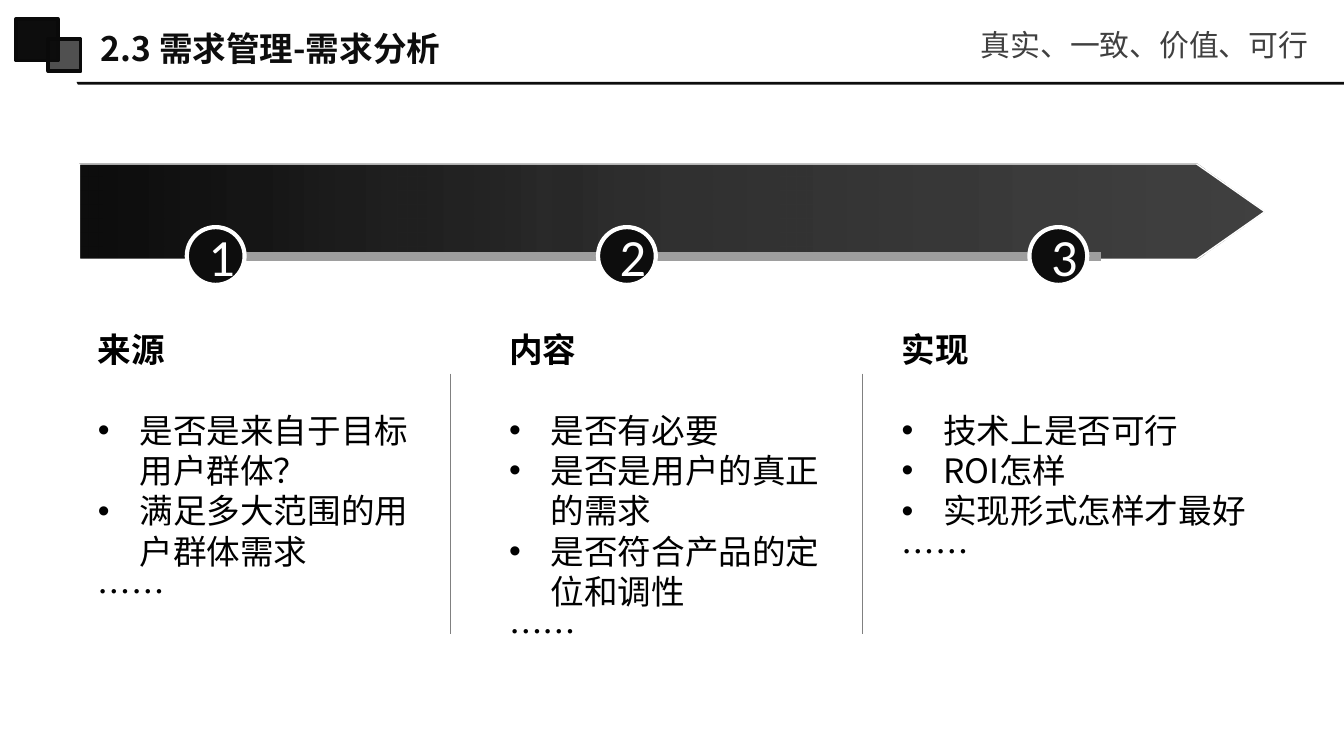
from lxml import etree
from pptx import Presentation
from pptx.dml.color import RGBColor
from pptx.enum.shapes import MSO_CONNECTOR as Link, MSO_SHAPE as Kind
from pptx.enum.text import MSO_ANCHOR as Anchor, PP_ALIGN as Align
from pptx.oxml import parse_xml
from pptx.oxml.ns import nsdecls, qn
from pptx.util import Inches, Pt

HUES = {"ink": "0D0D0D", "edge": "0A0A0A", "white": "FFFFFF", "text": "000000",
        "note": "404040", "track": "9E9E9E", "rule": "808080"}
SANS, DIGIT = "Noto Sans CJK SC", "Calibri"
LEAD = 1.2  # line pitch as a multiple of the text size

# left and width of the text, left of the badge, heading, bullets
STEPS = [
    (0.63, 2.55, 1.39, "来源",
     ["是否是来自于目标用户群体？", "满足多大范围的用户群体需求"]),
    (3.69, 2.64, 4.45, "内容",
     ["是否有必要", "是否是用户的真正的需求", "是否符合产品的定位和调性"]),
    (6.61, 2.79, 7.66, "实现",
     ["技术上是否可行", "ROI怎样", "实现形式怎样才最好"]),
]


def hue(name):
    return RGBColor.from_string(HUES[name])


def add_shape(slide, kind, box, fill=None, edge=None, width=0.75):
    shape = slide.shapes.add_shape(kind, *map(Inches, box))
    shape.shadow.inherit = False
    if fill:
        shape.fill.solid()
        shape.fill.fore_color.rgb = hue(fill)
    else:
        shape.fill.background()
    if edge:
        shape.line.color.rgb = hue(edge)
        shape.line.width = Pt(width)
    else:
        shape.line.fill.background()
    return shape


def add_line(slide, x1, y1, x2, y2, color, width):
    line = slide.shapes.add_connector(Link.STRAIGHT, *map(Inches, (x1, y1, x2, y2)))
    line.line.color.rgb = hue(color)
    line.line.width = Pt(width)
    etree.SubElement(line._element.spPr, qn("a:effectLst"))


def add_run(para, text, size, color, bold=False, face=SANS):
    run = para.add_run()
    run.text = text
    font = run.font
    font.size, font.bold, font.name = Pt(size), bold, face
    font.color.rgb = hue(color)
    if face == SANS:
        para.line_spacing = Pt(size * LEAD)
        east = etree.SubElement(run._r.get_or_add_rPr(), qn("a:ea"))
        east.set("typeface", face)


def add_bullet(para):
    props = para._p.get_or_add_pPr()
    props.set("marL", str(Inches(0.31)))
    props.set("indent", str(-Inches(0.31)))
    font = etree.SubElement(props, qn("a:buFont"))
    font.set("typeface", "Arial")
    etree.SubElement(props, qn("a:buChar")).set("char", "•")


def draw_head(slide, x, y, w):
    # Rule with a slanted left end
    pen = slide.shapes.build_freeform(Inches(x + 0.57), Inches(y + 0.61), 1.0)
    pen.add_line_segments([(Inches(x + dx), Inches(y + dy)) for dx, dy in
                           ((w, 0.61), (w, 0.63), (0.58, 0.63))], close=True)
    rule = pen.convert_to_shape()
    rule.shadow.inherit = False
    rule.fill.solid()
    rule.fill.fore_color.rgb = hue("ink")
    rule.line.fill.background()

    # Overlapping squares
    add_shape(slide, Kind.RECTANGLE, (x + 0.12, y + 0.14, 0.31, 0.31), "ink", "edge", 2)
    small = add_shape(slide, Kind.RECTANGLE, (x + 0.36, y + 0.29, 0.24, 0.24),
                      "ink", "edge", 2)
    tint = small._element.spPr.find(qn("a:solidFill"))[0]
    etree.SubElement(tint, qn("a:alpha")).set("val", "72000")

    # Title and note
    title = slide.shapes.add_textbox(*map(Inches, (x + 0.75, y + 0.15, 2.88, 0.42)))
    frame = title.text_frame
    frame.word_wrap = True
    frame.vertical_anchor = Anchor.MIDDLE
    frame.margin_left = frame.margin_right = 0
    add_run(frame.paragraphs[0], "2.3 需求管理-需求分析", 18, "ink", True)
    note = slide.shapes.add_textbox(*map(Inches, (x + w - 2.8, y + 0.15, 2.67, 0.37)))
    note.text_frame.word_wrap = False
    add_run(note.text_frame.paragraphs[0], "真实、一致、价值、可行", 16, "note")


def draw_arrow(slide, x, y, w, h):
    arrow = add_shape(slide, Kind.RIGHT_ARROW, (x, y, w, h), "ink", "white")
    arrow.adjustments[0], arrow.adjustments[1] = 1, 0.714
    stops = "".join(
        f'<a:gs pos="{pos}000"><a:srgbClr val="{HUES["ink"]}">'
        f'<a:alpha val="{alpha}000"/></a:srgbClr></a:gs>'
        for pos, alpha in ((0, 100), (50, 85), (100, 78)))
    props = arrow._element.spPr
    props.replace(props.find(qn("a:solidFill")), parse_xml(
        f'<a:gradFill {nsdecls("a")}><a:gsLst>{stops}</a:gsLst>'
        '<a:lin ang="0" scaled="0"/></a:gradFill>'))
    add_line(slide, x + 1.23, y + 0.69, x + 7.6, y + 0.69, "track", 4.5)


def draw_badge(slide, x, y, size, number):
    badge = add_shape(slide, Kind.OVAL, (x, y, size, size), "ink", "white", 2.25)
    frame = badge.text_frame
    frame.vertical_anchor = Anchor.MIDDLE
    para = frame.paragraphs[0]
    para.alignment = Align.CENTER
    add_run(para, str(number), 28, "white", face=DIGIT)


def draw_step(slide, x, y, w, h, head, items):
    panel = add_shape(slide, Kind.SNIP_2_SAME_RECTANGLE, (x, y, w, h))
    panel.adjustments[0] = panel.adjustments[1] = 0
    frame = panel.text_frame
    frame.word_wrap = True
    frame.vertical_anchor = Anchor.TOP
    for i, text in enumerate([head, *items, "……"]):
        para = frame.paragraphs[0] if i == 0 else frame.add_paragraph()
        para.alignment = Align.LEFT
        add_run(para, text, 18, "text", i == 0)
        if i == 0:
            para.space_after = Pt(18 * LEAD)
        elif text in items:
            add_bullet(para)


def main():
    deck = Presentation()
    # Widescreen, 16:9
    deck.slide_width, deck.slide_height = Inches(10), Inches(10) * 9 // 16
    slide = deck.slides.add_slide(deck.slide_layouts[6])
    draw_head(slide, 0, 0, 10)
    draw_arrow(slide, 0.59, 1.22, 8.82, 0.71)
    for number, (x, w, spot, head, items) in enumerate(STEPS, 1):
        draw_badge(slide, spot, 1.69, 0.43, number)
        draw_step(slide, x, 2.4, w, 2.07, head, items)
    # Column dividers
    for x in (3.35, 6.42):
        add_line(slide, x, 2.78, x, 4.72, "rule", 0.75)
    deck.save("out.pptx")


if __name__ == "__main__":
    main()
